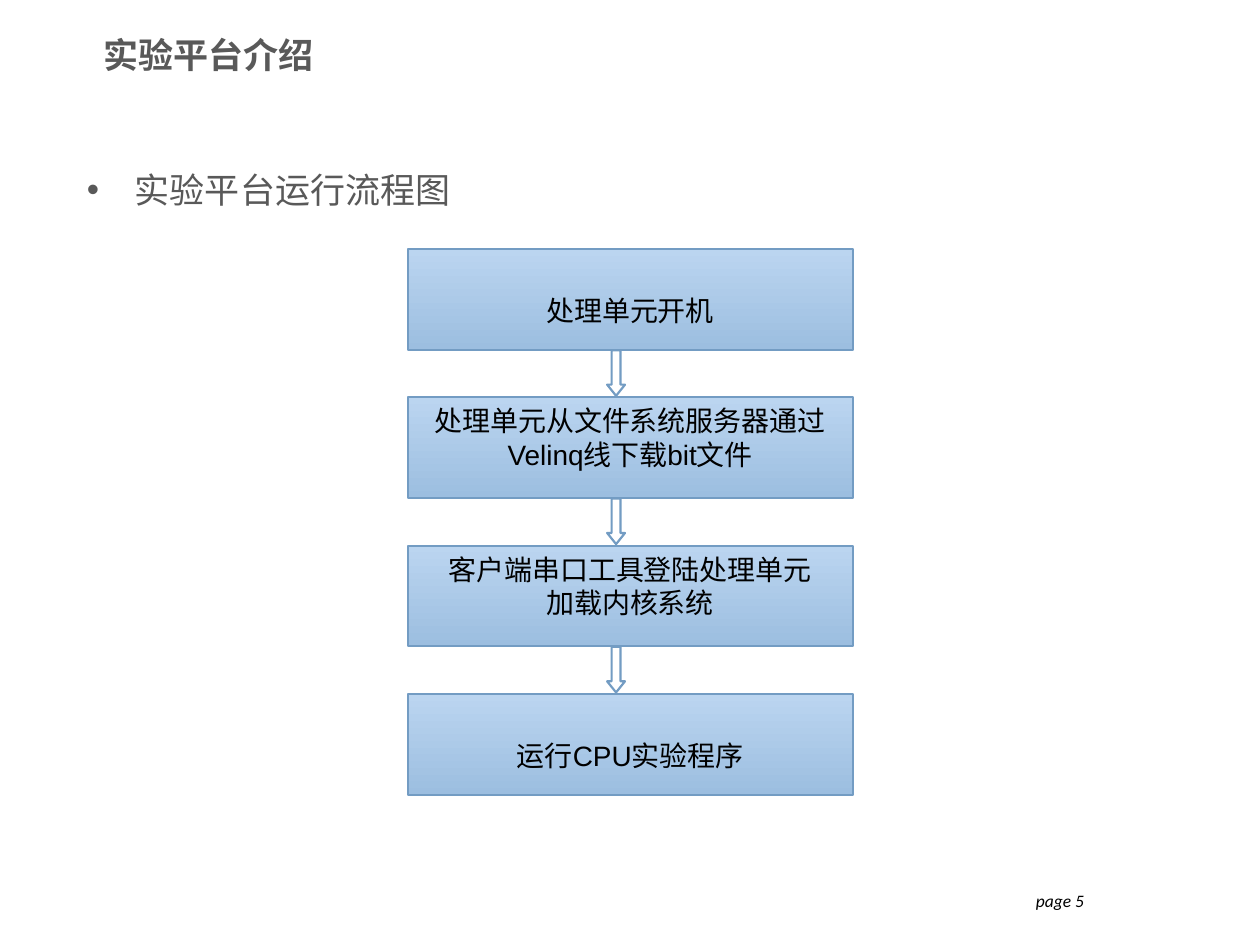
from dataclasses import dataclass

from lxml import etree
from pptx import Presentation
from pptx.dml.color import RGBColor
from pptx.enum import shapes, text
from pptx.oxml import ns
from pptx.util import Cm, Pt


@dataclass(frozen=True)
class Theme:
    grey: str = "595959"
    black: str = "000000"
    white: str = "FFFFFF"
    outline: str = "739CC3"
    gradient: tuple[str, str] = ("BBD5F0", "9CBEE0")
    outline_width: float = 1.25
    heading_size: int = 20
    step_size: int = 16
    page_size: int = 10
    chinese_font: str = "Noto Sans CJK SC"
    step_font: str = "Arial"
    page_font: str = "Calibri"


@dataclass(frozen=True)
class Box:
    left: float
    top: float
    width: float
    height: float

    def lengths(self) -> tuple:
        return tuple(Cm(v) for v in (self.left, self.top, self.width, self.height))


@dataclass(frozen=True)
class Step:
    lines: tuple[str, ...]
    top_inset: float = 0.13


@dataclass(frozen=True)
class Label:
    box: Box
    words: str
    size: int
    font: str
    color: str
    align: text.PP_ALIGN = text.PP_ALIGN.LEFT
    anchor: text.MSO_ANCHOR = text.MSO_ANCHOR.TOP
    top_inset: float = 0.13
    bold: bool = False
    italic: bool = False
    bullet_indent: float = 0


THEME = Theme()
STEP_BOX = Box(8.22, 5.02, 8.97, 2.03)
ARROW_BOX = Box(12.24, 7.06, 0.36, 0.92)
STEP_PITCH = 2.99

STEPS = (
    Step(("处理单元开机",), 0.89),
    Step(("处理单元从文件系统服务器通过", "Velinq线下载bit文件")),
    Step(("客户端串口工具登陆处理单元", "加载内核系统")),
    Step(("运行CPU实验程序",), 0.89),
)

PAGE = Label(Box(16.18, 17.81, 5.92, 1.32), "page 5", THEME.page_size,
             THEME.page_font, THEME.black, text.PP_ALIGN.RIGHT, italic=True)
TOPIC = Label(Box(1.5, 3.4, 22, 12.73), "实验平台运行流程图", THEME.heading_size,
              THEME.chinese_font, THEME.grey, top_inset=0, bullet_indent=0.97)
TITLE = Label(Box(1.83, 0.51, 15.8, 1.19), "实验平台介绍", THEME.heading_size,
              THEME.chinese_font, THEME.grey, anchor=text.MSO_ANCHOR.MIDDLE, bold=True)


def add_run(paragraph, words: str, size: int, font: str, color: str, **styles) -> None:
    run = paragraph.add_run()
    run.text = words
    for name, value in {"size": Pt(size), "name": font, **styles}.items():
        setattr(run.font, name, value)
    run.font.color.rgb = RGBColor.from_string(color)
    # East Asian text takes its own typeface element
    east_asian = etree.SubElement(run.font._element, ns.qn("a:ea"))
    east_asian.set("typeface", THEME.chinese_font)


def format_frame(frame, anchor: text.MSO_ANCHOR, top_inset: float) -> None:
    settings = {
        "word_wrap": True, "vertical_anchor": anchor, "margin_top": Cm(top_inset),
        "margin_bottom": Cm(0.13), "margin_left": Cm(0.25), "margin_right": Cm(0.25),
    }
    for name, value in settings.items():
        setattr(frame, name, value)


def add_bullet(paragraph, indent: float) -> None:
    properties = paragraph._p.get_or_add_pPr()
    properties.set("marL", str(Cm(indent)))
    properties.set("indent", str(-Cm(indent)))
    font = etree.SubElement(properties, ns.qn("a:buFont"))
    font.set("typeface", "Arial")
    etree.SubElement(properties, ns.qn("a:buChar")).set("char", "•")


def add_label(slide, label: Label) -> None:
    frame = slide.shapes.add_textbox(*label.box.lengths()).text_frame
    format_frame(frame, label.anchor, label.top_inset)
    paragraph = frame.paragraphs[0]
    paragraph.alignment = label.align
    if label.bullet_indent:
        add_bullet(paragraph, label.bullet_indent)
    add_run(paragraph, label.words, label.size, label.font, label.color,
            bold=label.bold, italic=label.italic)


def add_outlined(slide, kind: shapes.MSO_SHAPE, box: Box, row: int):
    """Add an outlined shape in the given row of the flow chart."""
    placed = Box(box.left, box.top + row * STEP_PITCH, box.width, box.height)
    shape = slide.shapes.add_shape(kind, *placed.lengths())
    shape.shadow.inherit = False
    shape.line.color.rgb = RGBColor.from_string(THEME.outline)
    shape.line.width = Pt(THEME.outline_width)
    return shape


def add_step(slide, step: Step, row: int) -> None:
    shape = add_outlined(slide, shapes.MSO_SHAPE.FLOWCHART_PROCESS, STEP_BOX, row)
    shape.fill.gradient()
    shape.fill.gradient_angle = 270
    for stop, color in zip(shape.fill.gradient_stops, THEME.gradient):
        stop.color.rgb = RGBColor.from_string(color)
    frame = shape.text_frame
    format_frame(frame, text.MSO_ANCHOR.TOP, step.top_inset)
    for index, line in enumerate(step.lines):
        paragraph = frame.add_paragraph() if index else frame.paragraphs[0]
        paragraph.alignment = text.PP_ALIGN.CENTER
        add_run(paragraph, line, THEME.step_size, THEME.step_font, THEME.black)


def add_arrow(slide, row: int) -> None:
    shape = add_outlined(slide, shapes.MSO_SHAPE.DOWN_ARROW, ARROW_BOX, row)
    shape.adjustments[0], shape.adjustments[1] = 0.5, 0.625
    shape.fill.solid()
    shape.fill.fore_color.rgb = RGBColor.from_string(THEME.white)


def main() -> None:
    presentation = Presentation()
    presentation.slide_width, presentation.slide_height = Cm(25.4), Cm(19.05)
    slide = presentation.slides.add_slide(presentation.slide_layouts[6])

    # Page number and topic
    add_label(slide, PAGE)
    add_label(slide, TOPIC)

    # Flow chart: steps, then the arrows between them
    for row, step in enumerate(STEPS):
        add_step(slide, step, row)
    for row in range(len(STEPS) - 1):
        add_arrow(slide, row)

    # Title
    add_label(slide, TITLE)

    presentation.save("out.pptx")


if __name__ == "__main__":
    main()
